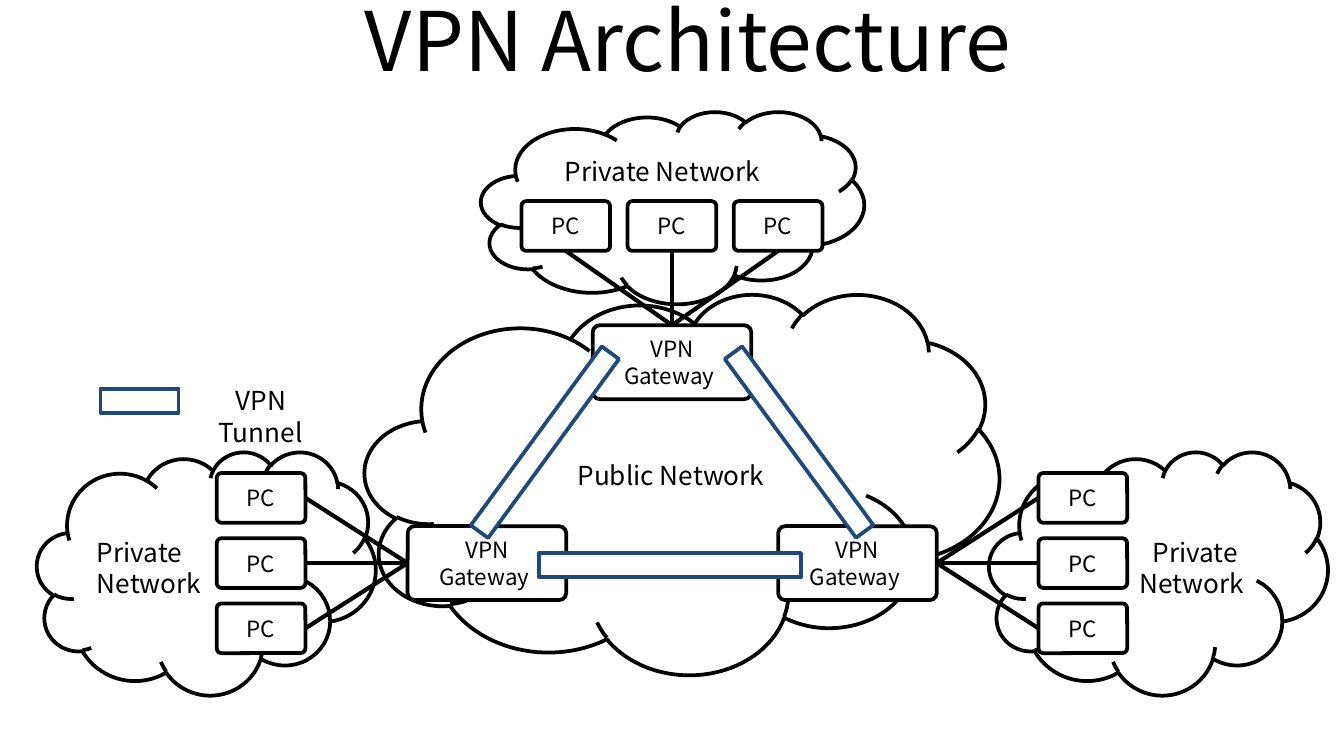
"""Build the VPN architecture slide on a square grid of 100 columns."""
from lxml import etree
from pptx import Presentation
from pptx import util as u
from pptx.dml.color import RGBColor
from pptx.enum import shapes, text
from pptx.oxml import ns

BLACK = RGBColor(0x00, 0x00, 0x00)
WHITE = RGBColor(0xFF, 0xFF, 0xFF)
NAVY = RGBColor(0x1F, 0x49, 0x7D)
FONT = "Noto Sans CJK KR"
KIND = shapes.MSO_SHAPE
LEFT, MID, RIGHT = text.PP_ALIGN.LEFT, text.PP_ALIGN.CENTER, text.PP_ALIGN.RIGHT

deck = Presentation()
deck.slide_width = u.Inches(10)
deck.slide_height = deck.slide_width * 9 // 16
CELL = deck.slide_width / 100
slide = deck.slides.add_slide(deck.slide_layouts[5])


def write(item, words, size=14, align=MID, anchor=text.MSO_ANCHOR.MIDDLE, left=1, right=1, foot=0.5):
    frame = item.text_frame
    frame.text = words
    frame.word_wrap = True
    frame.vertical_anchor = anchor
    frame.margin_left, frame.margin_right = int(left * CELL), int(right * CELL)
    frame.margin_bottom = int(foot * CELL)
    for par in frame.paragraphs:
        par.alignment = align
        par.font.name, par.font.size = FONT, u.Pt(size)
        par.font.color.rgb = BLACK


def draw(kind, *place, line=BLACK):
    item = slide.shapes.add_shape(kind, *(int(n * CELL) for n in place))
    item.shadow.inherit = False
    item.fill.solid()
    item.fill.fore_color.rgb = WHITE
    item.line.color.rgb = line
    item.line.width = u.Pt(2)
    if kind == KIND.ROUNDED_RECTANGLE:
        item.adjustments[0] = 0.095
    return item


title = slide.shapes.title
title.left, title.top, title.width, title.height = (int(n * CELL) for n in (6.2, -1.8, 90, 9.4))
write(title, "VPN Architecture", size=44)

clouds = [
    ((35.8, 8.3, 28.5, 14.3), "Private Network", dict(align=LEFT, left=2.3, foot=5.2)),
    ((73.6, 33.6, 25.2, 18.1), "Private \nNetwork", dict(align=RIGHT)),
    ((2.75, 33.6, 25.2, 18.1), "Private\nNetwork", dict(align=LEFT)),
    ((27.15, 21.85, 47.2, 28.3), "Public Network", dict(left=2.7)),
]
for place, words, form in clouds:
    write(draw(KIND.CLOUD, *place), words, **form)

gates = []
for x, y in ((44.1, 24.2), (30.33, 39.15), (57.9, 39.15)):
    gate = draw(KIND.ROUNDED_RECTANGLE, x, y, 11.8, 5.5)
    write(gate, "VPN\nGateway ", size=12)
    gates.append(gate)

tunnels = [
    (32.3, 32.1, 16.5, 1.6, 306.2),
    (40.1, 41.15, 19.5, 1.8, 0),
    (51.2, 32.1, 16.5, 1.6, 53.7),
    (7.48, 28.92, 5.8, 1.8, 0),
]
for *place, turn in tunnels:
    draw(KIND.RECTANGLE, *place, line=NAVY).rotation = turn

sites = [
    (gates[1], 16.13, 35.2, 0, 4.85, 1, 3),
    (gates[2], 77.27, 35.2, 0, 4.85, 3, 1),
    (gates[0], 38.8, 14.97, 7.9, 0, 0, 2),
]
for gate, x, y, across, down, start, end in sites:
    for n in range(3):
        host = draw(KIND.ROUNDED_RECTANGLE, x + n * across, y + n * down, 6.6, 3.7)
        write(host, "PC", size=12)
        link = slide.shapes.add_connector(shapes.MSO_CONNECTOR.STRAIGHT, 0, 0, 0, 0)
        link.begin_connect(gate, start)
        link.end_connect(host, end)
        link.line.color.rgb = BLACK
        link.line.width = u.Pt(2.25)
        etree.SubElement(link._element.spPr, ns.qn("a:effectLst"))

label = slide.shapes.add_textbox(*(int(n * CELL) for n in (13.2, 28.13, 12.4, 3.4)))
write(label, "VPN Tunnel", anchor=text.MSO_ANCHOR.TOP, left=1.5, right=1.5)

deck.save("out.pptx")
